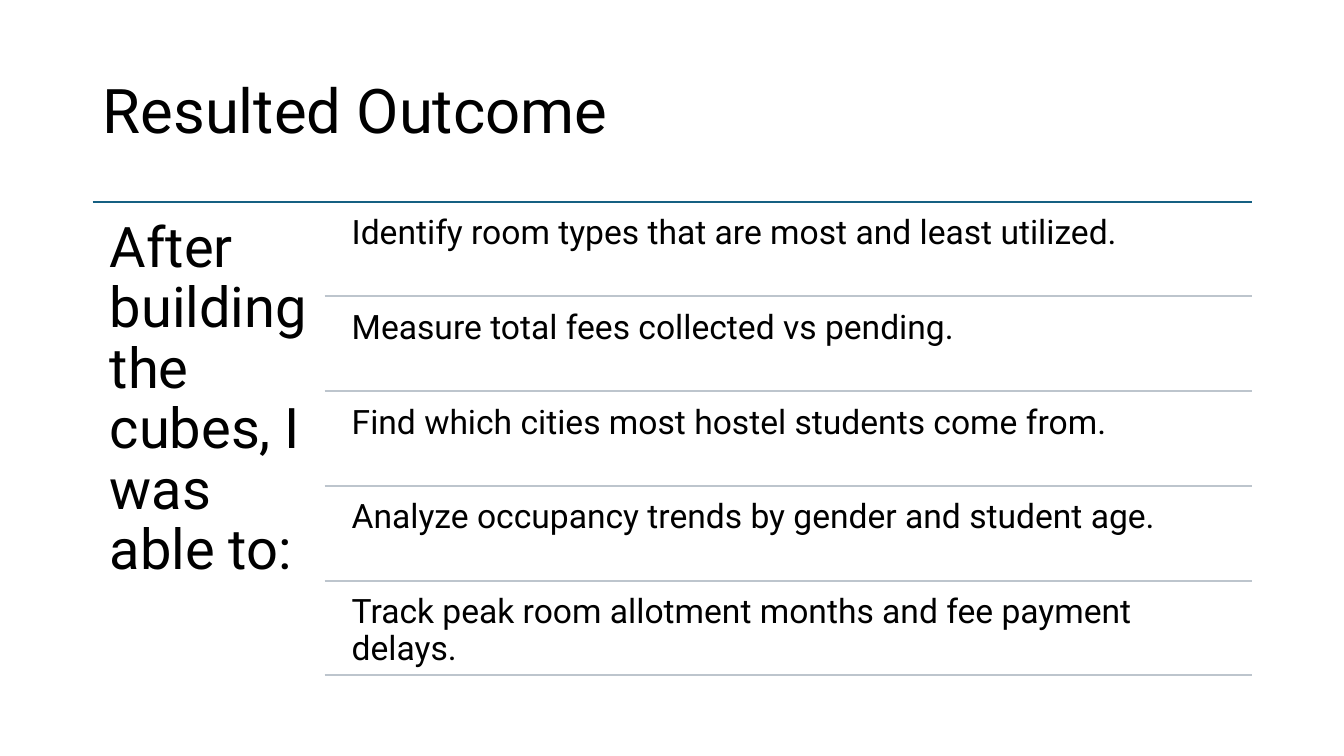
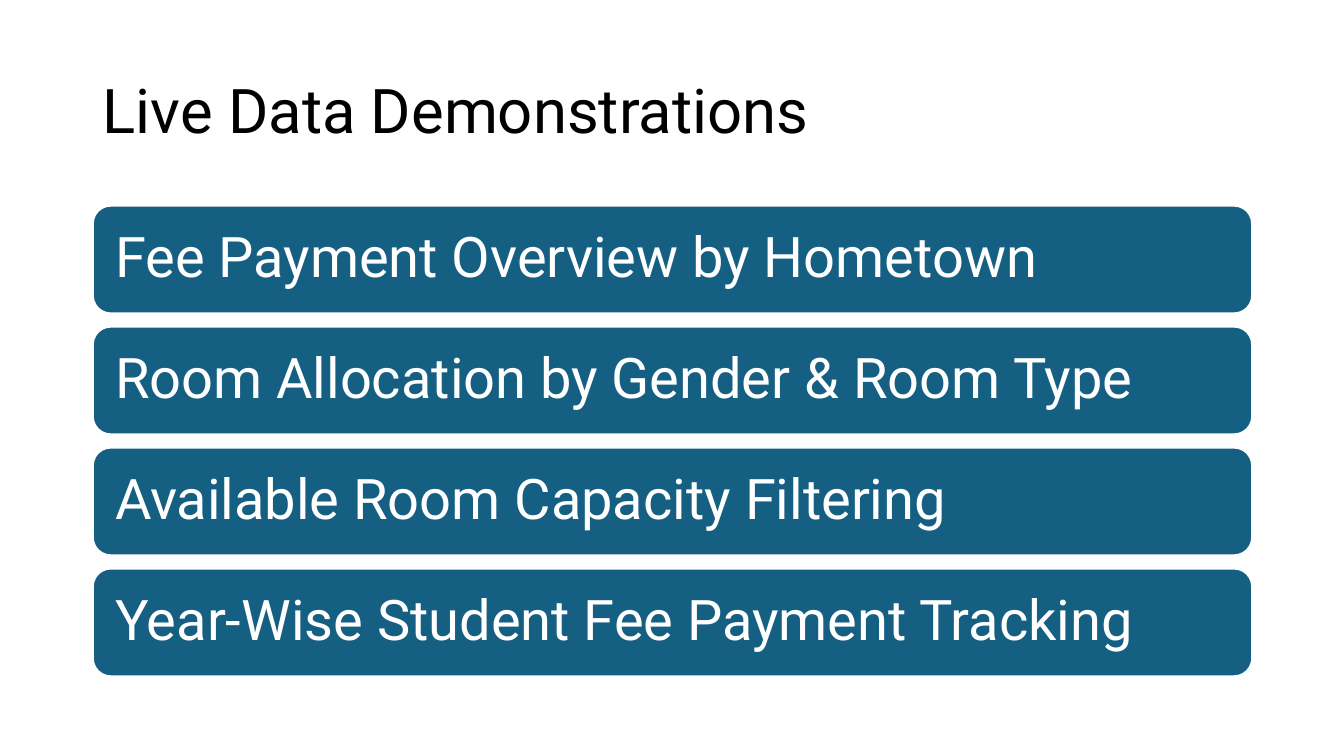
from dataclasses import dataclass

from lxml import etree
from pptx import Presentation
from pptx.dml.color import RGBColor
from pptx.enum.shapes import MSO_CONNECTOR, MSO_SHAPE
from pptx.enum.text import MSO_ANCHOR, PP_ALIGN
from pptx.oxml.ns import qn
from pptx.shapes.base import BaseShape
from pptx.slide import Slide
from pptx.util import Inches, Pt

# Shared style
FONT = "Roboto"
BLACK = RGBColor(0x00, 0x00, 0x00)
WHITE = RGBColor(0xFF, 0xFF, 0xFF)
TEAL = RGBColor(0x15, 0x60, 0x82)
GREY = RGBColor(0xBD, 0xC5, 0xCD)
TOP, MIDDLE = MSO_ANCHOR.TOP, MSO_ANCHOR.MIDDLE
LEFT = PP_ALIGN.LEFT
STRAIGHT = MSO_CONNECTOR.STRAIGHT
ROUND = MSO_SHAPE.ROUNDED_RECTANGLE
STROKE = Pt(1.5)

# Shared grid, in inches
EDGE, WIDTH = 0.92, 11.5
RIGHT = EDGE + WIDTH
FIRST = 2.04
PAD = 0.17


@dataclass(frozen=True)
class Box:
    x: float
    y: float
    w: float
    h: float

    def place(self) -> tuple:
        return Inches(self.x), Inches(self.y), Inches(self.w), Inches(self.h)


@dataclass(frozen=True)
class Stack:
    """Equal boxes, one below the other."""
    first: Box
    step: float

    def box(self, index: int) -> Box:
        top = self.first
        return Box(top.x, top.y + index * self.step, top.w, top.h)


TITLE = Box(EDGE, 0.4, WIDTH, 1.45)
LEAD = Box(EDGE, 2, 2.3, 4.76)
ROWS = Stack(Box(3.39, FIRST, 9.03, 0.9), 0.94)
BARS = Stack(Box(EDGE, FIRST, WIDTH, 1.07), 1.2)

OUTCOMES = (
    "Identify room types that are most and least utilized.",
    "Measure total fees collected vs pending.",
    "Find which cities most hostel students come from.",
    "Analyze occupancy trends by gender and student age.",
    "Track peak room allotment months and fee payment delays.",
)
DEMOS = (
    "Fee Payment Overview by Hometown",
    "Room Allocation by Gender & Room Type",
    "Available Room Capacity Filtering",
    "Year-Wise Student Fee Payment Tracking",
)


def write(shape: BaseShape, text: str, *, size: float, color: RGBColor = BLACK,
          pad: float = PAD, side: float = PAD, anchor: MSO_ANCHOR = TOP) -> None:
    frame = shape.text_frame
    frame.word_wrap = True
    frame.vertical_anchor = anchor
    frame.margin_left = frame.margin_right = Inches(side)
    frame.margin_top = frame.margin_bottom = Inches(pad)
    para = frame.paragraphs[0]
    para.text = text
    para.alignment = LEFT
    para.line_spacing = 0.9
    font = para.runs[0].font
    font.name, font.size = FONT, Pt(size)
    font.color.rgb = color


def label(slide: Slide, box: Box, text: str, **style) -> None:
    write(slide.shapes.add_textbox(*box.place()), text, **style)


def rule(slide: Slide, left: float, y: float, color: RGBColor) -> None:
    line = slide.shapes.add_connector(
        STRAIGHT, Inches(left), Inches(y), Inches(RIGHT), Inches(y))
    line.line.color.rgb = color
    line.line.width = STROKE
    etree.SubElement(line._element.spPr, qn("a:effectLst"))


def bar(slide: Slide, box: Box, text: str) -> None:
    shape = slide.shapes.add_shape(ROUND, *box.place())
    shape.shadow.inherit = False
    shape.fill.solid()
    shape.fill.fore_color.rgb = TEAL
    shape.line.color.rgb = WHITE
    shape.line.width = STROKE
    write(shape, text, size=40, color=WHITE, anchor=MIDDLE)


def start(deck: Presentation, title: str) -> Slide:
    slide = deck.slides.add_slide(deck.slide_layouts[6])
    label(slide, TITLE, title, size=44, pad=0.05, side=0.1, anchor=MIDDLE)
    return slide


def main() -> None:
    deck = Presentation()
    deck.slide_width, deck.slide_height = Inches(13.33), Inches(7.5)

    # Outcomes: lead text beside ruled rows
    slide = start(deck, "Resulted Outcome")
    rule(slide, EDGE, LEAD.y, TEAL)
    label(slide, LEAD, "After building the cubes, I was able to:", size=40)
    for index, text in enumerate(OUTCOMES):
        box = ROWS.box(index)
        label(slide, box, text, size=24, pad=0.1, side=0.1)
        rule(slide, LEAD.x + LEAD.w, box.y + box.h, GREY)

    # Demonstrations: stacked bars
    slide = start(deck, "Live Data Demonstrations")
    for index, text in enumerate(DEMOS):
        bar(slide, BARS.box(index), text)

    deck.save("out.pptx")


if __name__ == "__main__":
    main()
